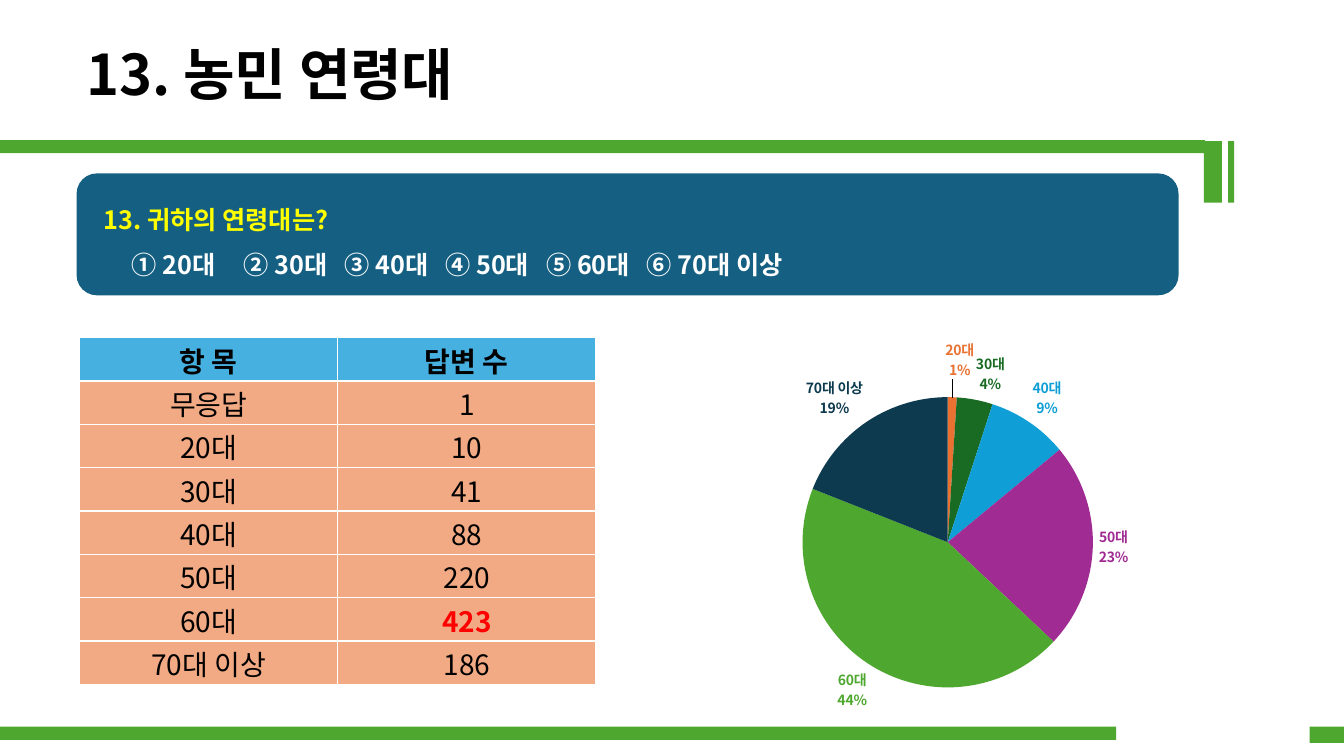
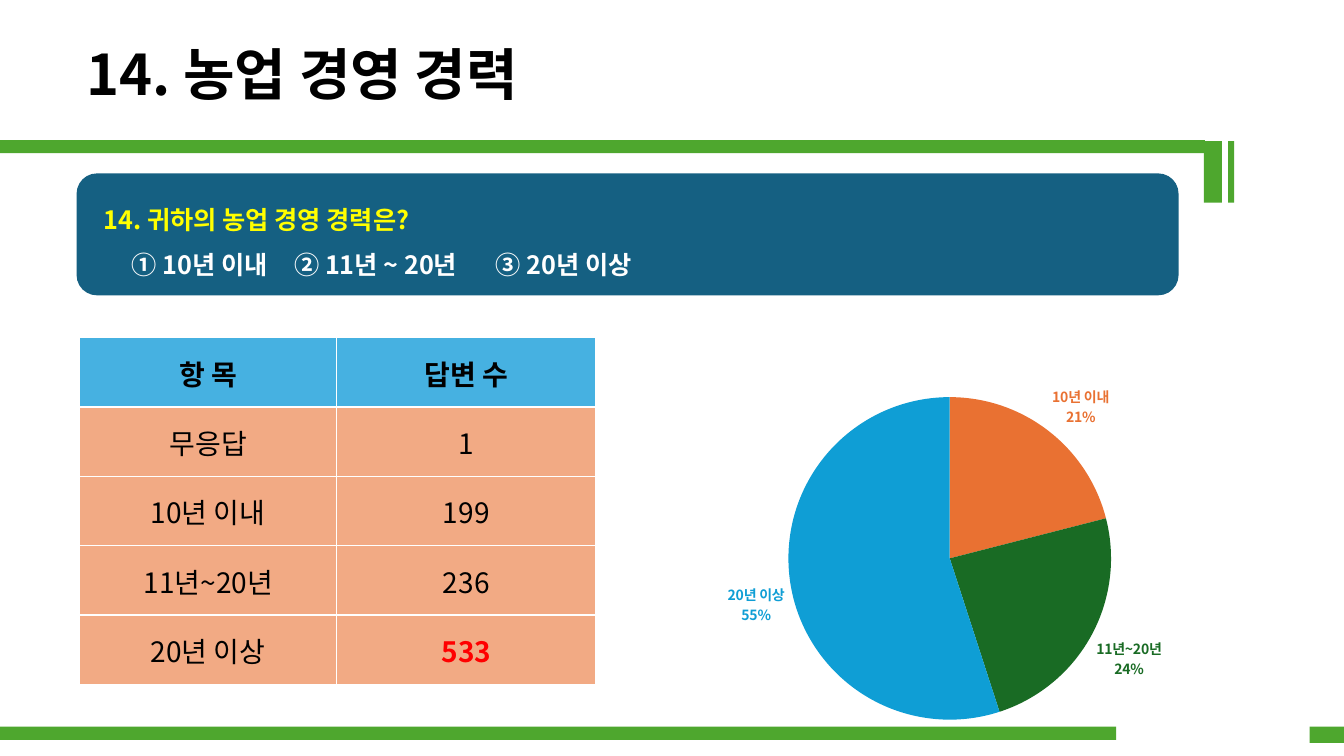
from lxml import etree
from pptx import Presentation
from pptx.chart.data import CategoryChartData
from pptx.dml.color import RGBColor
from pptx.enum.chart import XL_CHART_TYPE, XL_LABEL_POSITION
from pptx.enum.shapes import MSO_SHAPE
from pptx.enum.text import MSO_ANCHOR, MSO_AUTO_SIZE, PP_ALIGN
from pptx.oxml import parse_xml
from pptx.oxml.ns import nsdecls, qn
from pptx.util import Inches, Pt

RECTANGLE = MSO_SHAPE.RECTANGLE
ROUNDED = MSO_SHAPE.ROUNDED_RECTANGLE
MIDDLE = MSO_ANCHOR.MIDDLE
LEFT, CENTER = PP_ALIGN.LEFT, PP_ALIGN.CENTER
OUTSIDE_END = XL_LABEL_POSITION.OUTSIDE_END

FONT = "Noto Sans CJK KR"
COLORS = {
    "green": "4EA72E",
    "blue": "156082",
    "yellow": "FFFF00",
    "white": "FFFFFF",
    "black": "000000",
    "red": "FF0000",
    "header": "46B1E1",
    "body": "F2AA84",
}
SLICES = ["156082", "E97132", "196B24", "0F9ED5", "A02B93", "4EA72E", "0D3A4E"]
BANDS = [
    (0, 7.21, 11.07, 0.13),
    (12.99, 7.21, 0.34, 0.16),
    (-0.01, 1.39, 11.96, 0.13),
    (11.94, 1.4, 0.18, 0.61),
    (12.18, 1.4, 0.06, 0.61),
]
SURVEYS = [
    {
        "title": "13. 농민 연령대",
        "title_width": 4.2,
        "question": "13. 귀하의 연령대는?",
        "options": ["① 20대", "② 30대", "③ 40대", "④ 50대", "⑤ 60대", "⑥ 70대 이상"],
        "tabs": [1.43, 2.53, 3.64, 4.74, 5.84],
        "answers": {"무응답": 1, "20대": 10, "30대": 41, "40대": 88,
                    "50대": 220, "60대": 423, "70대 이상": 186},
        "columns": (2.56, 2.56),
        "pie": (2.05, 0.59, 2.88),
        "label_shifts": {0: (-0.04, -0.03), 1: (0.01, -0.03)},
    },
    {
        "title": "14. 농업 경영 경력",
        "title_width": 4.96,
        "question": "14. 귀하의 농업 경영 경력은?",
        "options": ["① 10년 이내", "② 11년 ~ 20년", "③ 20년 이상"],
        "tabs": [1.96, 3.97],
        "answers": {"무응답": 1, "10년 이내": 199, "11년~20년": 236, "20년 이상": 533},
        "columns": (2.55, 2.57),
        "pie": (1.91, 0.59, 3.2),
        "label_shifts": {},
    },
]
CHART_WIDTH, CHART_HEIGHT = 7.09, 3.94


def write(paragraph, text, size, color, bold=True, align=LEFT):
    paragraph.text = text
    paragraph.alignment = align
    font = paragraph.font
    font.name, font.size, font.bold = FONT, Pt(size), bold
    font.color.rgb = RGBColor.from_string(COLORS[color])
    defaults = paragraph._p.pPr.find(qn("a:defRPr"))
    etree.SubElement(defaults, qn("a:ea"), typeface=FONT)


def add_block(slide, kind, box, color):
    shape = slide.shapes.add_shape(kind, *map(Inches, box))
    shape.shadow.inherit = False
    shape.fill.solid()
    shape.fill.fore_color.rgb = RGBColor.from_string(COLORS[color])
    shape.line.fill.background()
    return shape


presentation = Presentation()
presentation.slide_width = Inches(13.33)
presentation.slide_height = Inches(7.5)

for survey in SURVEYS:
    slide = presentation.slides.add_slide(presentation.slide_layouts[6])
    answers = survey["answers"]

    title = slide.shapes.add_textbox(
        Inches(0.76), Inches(0.34), Inches(survey["title_width"]), Inches(0.77))
    title.text_frame.word_wrap = False
    title.text_frame.auto_size = MSO_AUTO_SIZE.SHAPE_TO_FIT_TEXT
    write(title.text_frame.paragraphs[0], survey["title"], 40, "black")

    panel = add_block(slide, ROUNDED, (0.76, 1.72, 10.93, 1.21), "blue")
    panel.text_frame.vertical_anchor = MIDDLE
    question = panel.text_frame.paragraphs[0]
    options = panel.text_frame.add_paragraph()
    for paragraph, indent in ((question, 0.11), (options, 0.39)):
        paragraph.line_spacing = 1.5
        properties = paragraph._p.get_or_add_pPr()
        properties.set("marL", "0")
        properties.set("indent", str(Inches(indent)))
    tab_list = etree.SubElement(options._p.pPr, qn("a:tabLst"))
    for position in survey["tabs"]:
        etree.SubElement(tab_list, qn("a:tab"), pos=str(Inches(position)), algn="l")
    write(question, survey["question"], 18, "yellow")
    write(options, "\t".join(survey["options"]), 18, "white")

    rows = [("항 목", "답변 수"), *answers.items()]
    table = slide.shapes.add_table(
        len(rows), 2, Inches(0.79), Inches(3.35), Inches(5.12), Inches(3.44)).table
    for column, width in zip(table.columns, survey["columns"]):
        column.width = Inches(width)
    for row_index, row in enumerate(rows):
        table.rows[row_index].height = Inches(3.44 / len(rows))
        for column_index, value in enumerate(row):
            cell = table.cell(row_index, column_index)
            cell.vertical_anchor = MIDDLE
            cell.margin_left = cell.margin_right = cell.margin_top = Inches(0.01)
            cell.margin_bottom = 0
            for side in ("lnL", "lnR", "lnT", "lnB"):
                cell._tc.get_or_add_tcPr().append(parse_xml(
                    f'<a:{side} {nsdecls("a")} w="{Pt(1)}"><a:solidFill>'
                    f'<a:srgbClr val="{COLORS["white"]}"/></a:solidFill></a:{side}>'))
            is_header = row_index == 0
            is_highest = value == max(answers.values())
            cell.fill.solid()
            cell.fill.fore_color.rgb = RGBColor.from_string(
                COLORS["header" if is_header else "body"])
            write(cell.text_frame.paragraphs[0], str(value), 20,
                  "red" if is_highest else "black", is_header or is_highest, CENTER)

    chart_data = CategoryChartData()
    chart_data.categories = list(answers)
    total = sum(answers.values())
    chart_data.add_series("Series 1", [round(100 * count / total) for count in answers.values()])
    chart = slide.shapes.add_chart(
        XL_CHART_TYPE.PIE, Inches(5.91), Inches(3.35),
        Inches(CHART_WIDTH), Inches(CHART_HEIGHT), chart_data).chart
    chart.has_title = False
    chart.has_legend = False
    chart.font.name, chart.font.size = FONT, Pt(10)
    chart.font.color.rgb = RGBColor.from_string(COLORS["black"])
    plot = chart.plots[0]
    plot.vary_by_categories = True
    series = plot.series[0]
    series.data_labels.position = OUTSIDE_END
    for index, color in zip(range(len(answers)), SLICES):
        point = series.points[index]
        point.format.fill.solid()
        point.format.fill.fore_color.rgb = RGBColor.from_string(color)
        point.format.line.fill.background()
        label = point.data_label
        label.position = OUTSIDE_END
        label.font.name, label.font.size, label.font.bold = FONT, Pt(10), True
        label.font.color.rgb = RGBColor.from_string(color)

    chart_xml = chart._chartSpace
    for flag in chart_xml.xpath("//c:showVal"):
        flag.set("val", "0")
    for flag in chart_xml.xpath("//c:showCatName | //c:showPercent"):
        flag.set("val", "1")
    for flag in chart_xml.xpath("//c:ser//c:showBubbleSize"):
        separator = etree.Element(qn("c:separator"))
        separator.text = "\n"
        flag.addnext(separator)
    for defaults in chart_xml.xpath("//a:defRPr[a:latin]"):
        etree.SubElement(defaults, qn("a:ea"), typeface=FONT)
    for index, (shift_x, shift_y) in survey["label_shifts"].items():
        identifier = chart_xml.xpath(f"//c:dLbl/c:idx[@val='{index}']")[0]
        identifier.addnext(parse_xml(
            f'<c:layout {nsdecls("c")}><c:manualLayout>'
            f'<c:x val="{shift_x}"/><c:y val="{shift_y}"/></c:manualLayout></c:layout>'))

    pie_left, pie_top, diameter = survey["pie"]
    plot_area = chart_xml.xpath("//c:plotArea")[0]
    for layout in plot_area.findall(qn("c:layout")):
        plot_area.remove(layout)
    plot_area.insert(0, parse_xml(
        f'<c:layout {nsdecls("c")}><c:manualLayout><c:layoutTarget val="inner"/>'
        f'<c:xMode val="edge"/><c:yMode val="edge"/>'
        f'<c:x val="{pie_left / CHART_WIDTH}"/><c:y val="{pie_top / CHART_HEIGHT}"/>'
        f'<c:w val="{diameter / CHART_WIDTH}"/><c:h val="{diameter / CHART_HEIGHT}"/>'
        f'</c:manualLayout></c:layout>'))

    for band in BANDS:
        add_block(slide, RECTANGLE, band, "green")

presentation.save("out.pptx")
